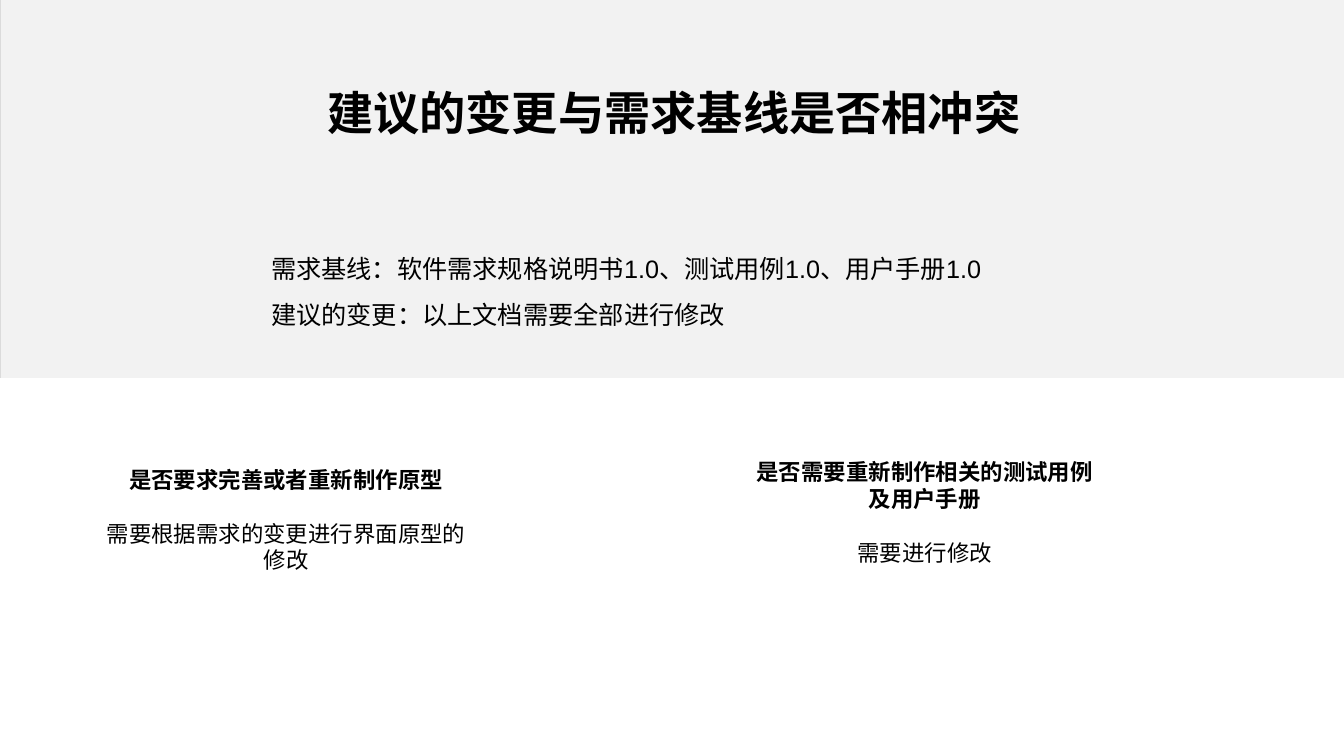
from pptx import Presentation
from pptx.dml.color import RGBColor
from pptx.enum.shapes import MSO_SHAPE
from pptx.enum.text import MSO_ANCHOR, PP_ALIGN
from pptx.util import Inches, Pt

BLACK = RGBColor(0x00, 0x00, 0x00)
EDGE = RGBColor(0xD8, 0xD8, 0xD8)
PANEL = RGBColor(0xF2, 0xF2, 0xF2)

WIDTH, HEIGHT = 26.66, 15
BANDS = [(0, EDGE), (0.02, PANEL)]

TITLE = "建议的变更与需求基线是否相冲突"
BASELINE = [
    "需求基线：软件需求规格说明书1.0、测试用例1.0、用户手册1.0",
    "建议的变更：以上文档需要全部进行修改",
]
QUESTIONS = [
    ((1.82, 9.2, 7.71, 3.61), "是否要求完善或者重新制作原型", "需要根据需求的变更进行界面原型的修改"),
    ((14.83, 9.05, 7.03, 3.26), "是否需要重新制作相关的测试用例及用户手册", "需要进行修改"),
]


def add_panel(s, box, color):
    sp = s.shapes.add_shape(MSO_SHAPE.RECTANGLE, *map(Inches, box))
    sp.shadow.inherit = False
    sp.fill.solid()
    sp.fill.fore_color.rgb = color
    sp.line.fill.background()
    return sp


def write(sp, lines, size, align, bold_first=False, spacing=None, gap=0):
    tf = sp.text_frame
    tf.word_wrap = True
    tf.vertical_anchor = MSO_ANCHOR.TOP
    for i, text in enumerate(lines):
        p = tf.add_paragraph() if i else tf.paragraphs[0]
        p.text = text
        p.alignment = align
        if spacing:
            p.line_spacing = spacing
        if i and gap:
            p.space_before = Pt(gap)
        p.font.name = "Arial"
        p.font.size = Pt(size)
        p.font.bold = bold_first and i == 0
        p.font.color.rgb = BLACK


prs = Presentation()
prs.slide_width, prs.slide_height = Inches(WIDTH), Inches(HEIGHT)
s = prs.slides.add_slide(prs.slide_layouts[6])

for left, color in BANDS:
    add_panel(s, (left, -0.01, WIDTH, 7.51), color)

title = add_panel(s, (3.16, 1.62, 20.41, 1.85), PANEL)
write(title, [TITLE], 66, PP_ALIGN.CENTER, bold_first=True)

baseline = add_panel(s, (5.28, 4.68, 16.14, 2.82), PANEL)
write(baseline, BASELINE, 36, PP_ALIGN.LEFT, spacing=1.5)

for box, question, answer in QUESTIONS:
    tb = s.shapes.add_textbox(*map(Inches, box))
    write(tb, [question, answer], 32, PP_ALIGN.CENTER, bold_first=True, gap=38)

prs.save("out.pptx")
